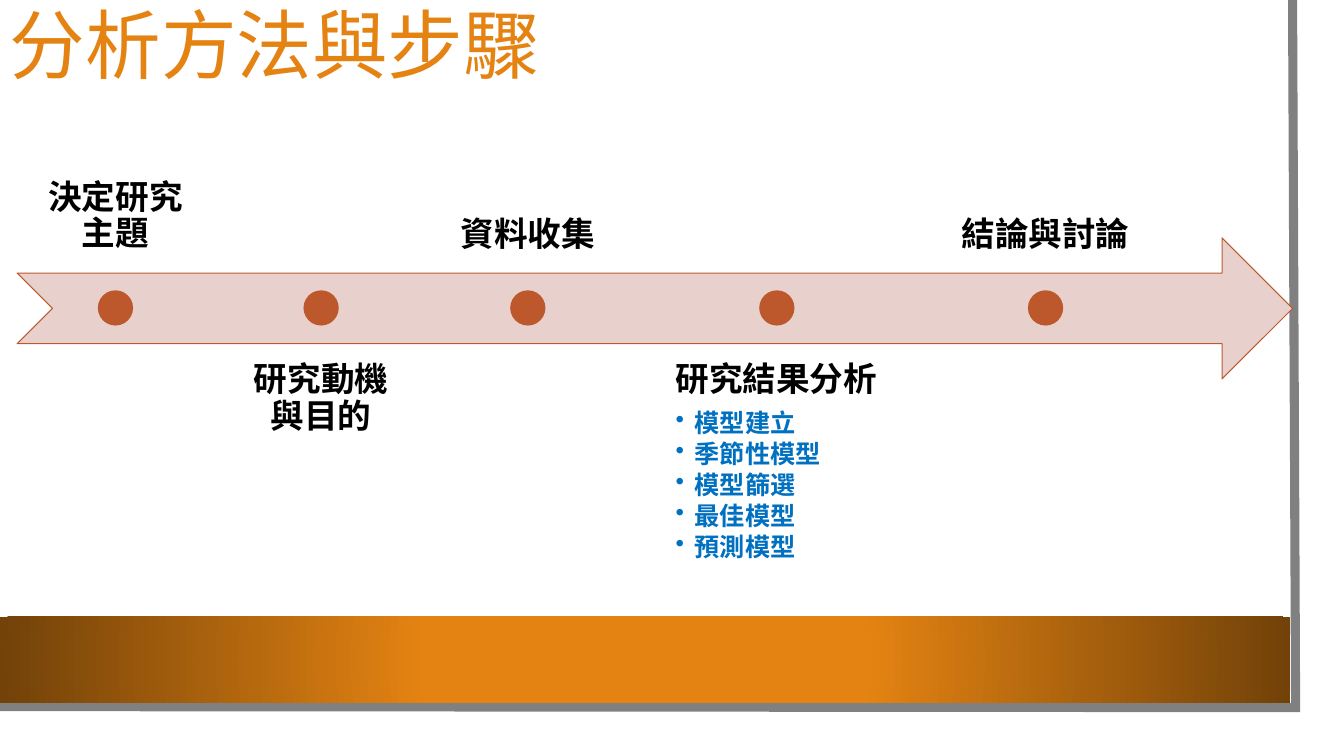
from dataclasses import dataclass

from lxml import etree
from pptx import Presentation
from pptx.dml.color import RGBColor
from pptx.enum.shapes import MSO_SHAPE as SHAPE
from pptx.enum.text import MSO_ANCHOR as ANCHOR, PP_ALIGN as ALIGN
from pptx.oxml import parse_xml
from pptx.oxml.ns import nsdecls, qn
from pptx.util import Inches, Pt

FONT = "Noto Sans CJK SC"
COLORS = {
    "paper": "FFFFFF",
    "edge": "808080",
    "orange": "E48312",
    "brown": "724209",
    "arrow": "E8D1CD",
    "rust": "BD582C",
    "label": "000000",
    "detail": "0070C0",
}
LINE_SPACING = 0.9
LABEL_HEIGHT = 1.4
LABEL_MARGIN = 0.19
DETAIL_MARGIN = 0.39
ABOVE_TOP, BELOW_TOP = 1.3, 3.41
DOT_TOP, DOT_SIZE = 2.88, 0.35


@dataclass
class Step:
    label: str
    left: float
    width: float
    above: bool
    details: tuple[str, ...] = ()


STEPS = [
    Step("決定研究主題", 0.17, 1.95, True),
    Step("研究動機與目的", 2.21, 1.95, False),
    Step("資料收集", 4.26, 1.95, True),
    Step("研究結果分析", 6.31, 2.79, False,
         ("模型建立", "季節性模型", "模型篩選", "最佳模型", "預測模型")),
    Step("結論與討論", 9.19, 2.36, True),
]


def rgb(name: str) -> RGBColor:
    return RGBColor.from_string(COLORS[name])


def add_filled(s, kind, left: float, top: float, width: float, height: float,
               fill: str, line: str | None = None):
    sp = s.shapes.add_shape(kind, Inches(left), Inches(top), Inches(width), Inches(height))
    sp.shadow.inherit = False
    sp.fill.solid()
    sp.fill.fore_color.rgb = rgb(fill)
    if line:
        sp.line.color.rgb = rgb(line)
        sp.line.width = Pt(0.75)
    else:
        sp.line.fill.background()
    return sp


def add_text_box(s, left: float, top: float, width: float, height: float, anchor):
    tf = s.shapes.add_textbox(Inches(left), Inches(top), Inches(width), Inches(height)).text_frame
    tf.word_wrap = True
    tf.vertical_anchor = anchor
    return tf


def write(p, text: str, size: float, color: str, bold: bool = False) -> None:
    p.text = text
    p.line_spacing = LINE_SPACING
    r = p.runs[0]
    r.font.name = FONT
    r.font.size = Pt(size)
    r.font.bold = bold
    r.font.color.rgb = rgb(color)
    etree.SubElement(r.font._element, qn("a:ea")).set("typeface", FONT)


def add_bullet(p) -> None:
    pPr = p._p.get_or_add_pPr()
    pPr.set("marL", str(Inches(0.19)))
    pPr.set("indent", str(-Inches(0.19)))
    etree.SubElement(pPr, qn("a:buChar")).set("char", "•")


def add_page_edge(s) -> None:
    """Draw the grey border along the right and bottom of the page."""
    builder = s.shapes.build_freeform(Inches(12.82), 0)
    builder.add_line_segments(
        [(Inches(12.85), Inches(7.02)), (Inches(-0.03), Inches(7.01))], close=False)
    sp = builder.convert_to_shape()
    sp.shadow.inherit = False
    sp.fill.background()
    sp.line.color.rgb = rgb("edge")
    sp.line.width = Pt(6.5)
    etree.SubElement(sp.line._get_or_add_ln(), qn("a:miter")).set("lim", "800000")


def add_footer_band(s) -> None:
    """Draw the bottom band, shaded from its centre outwards."""
    sp = add_filled(s, SHAPE.RECTANGLE, 0, 6.12, 12.8, 0.85, "orange")
    gradient = parse_xml(
        f'<a:gradFill {nsdecls("a")} rotWithShape="1"><a:gsLst>'
        f'<a:gs pos="34000"><a:srgbClr val="{COLORS["orange"]}"/></a:gs>'
        f'<a:gs pos="100000"><a:srgbClr val="{COLORS["brown"]}"/></a:gs>'
        '</a:gsLst><a:path path="circle">'
        '<a:fillToRect l="50000" t="50000" r="50000" b="50000"/>'
        '</a:path></a:gradFill>')
    spPr = sp._element.spPr
    spPr.replace(spPr.find(qn("a:solidFill")), gradient)


def add_step(s, step: Step) -> None:
    top, anchor = (ABOVE_TOP, ANCHOR.BOTTOM) if step.above else (BELOW_TOP, ANCHOR.TOP)
    tf = add_text_box(s, step.left, top, step.width, LABEL_HEIGHT, anchor)
    tf.margin_left = Inches(DETAIL_MARGIN if step.details else LABEL_MARGIN)
    tf.margin_right = tf.margin_top = tf.margin_bottom = Inches(LABEL_MARGIN)
    p = tf.paragraphs[0]
    write(p, step.label, 24, "label", bold=True)
    p.alignment = ALIGN.LEFT if step.details else ALIGN.CENTER
    p.space_after = Pt(8)
    for detail in step.details:
        p = tf.add_paragraph()
        write(p, detail, 18, "detail", bold=True)
        p.space_after = Pt(2.7)
        add_bullet(p)
    dot_left = step.left + (step.width - DOT_SIZE) / 2
    add_filled(s, SHAPE.OVAL, dot_left, DOT_TOP, DOT_SIZE, DOT_SIZE, "rust")


def main() -> None:
    prs = Presentation()
    prs.slide_width, prs.slide_height = Inches(13.33), Inches(7.5)
    s = prs.slides.add_slide(prs.slide_layouts[6])

    add_filled(s, SHAPE.RECTANGLE, 0, 0, 13.1, 7.27, "paper")
    add_page_edge(s)
    add_footer_band(s)
    title = add_text_box(s, 0, -0.14, 11.37, 1.26, ANCHOR.MIDDLE)
    write(title.paragraphs[0], "分析方法與步驟", 54, "orange")
    add_filled(s, SHAPE.NOTCHED_RIGHT_ARROW, 0.17, 2.36, 12.65, 1.4, "arrow", "rust")
    for step in STEPS:
        add_step(s, step)
    prs.save("out.pptx")


if __name__ == "__main__":
    main()
